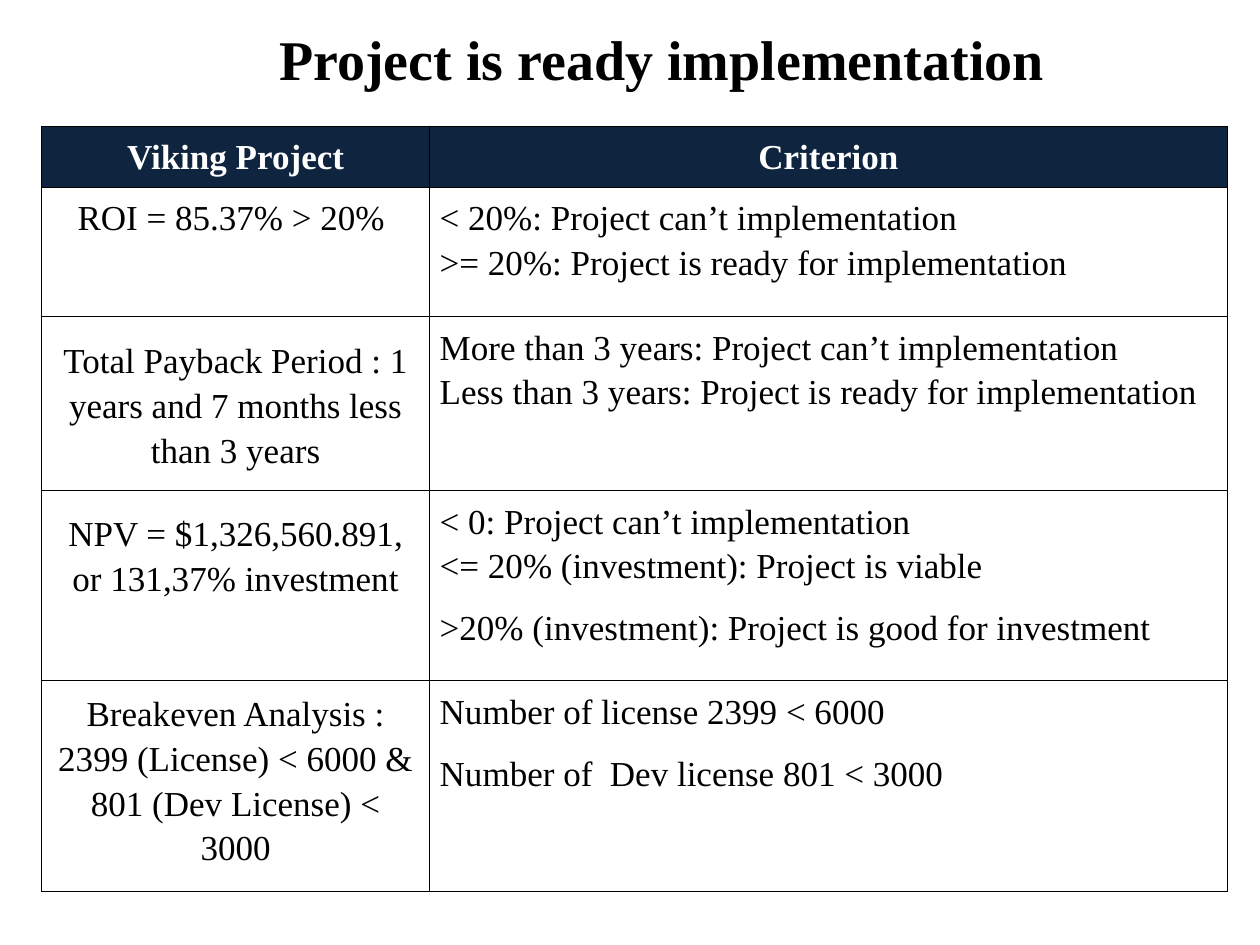
from dataclasses import dataclass

from lxml.etree import SubElement
from pptx import Presentation
from pptx.dml.color import RGBColor
from pptx.enum.text import MSO_ANCHOR as Anchor, PP_ALIGN as Align
from pptx.oxml.ns import qn
from pptx.util import Inches, Pt

FONT = "Times New Roman"
BLACK, WHITE, NAVY = "000000", "FFFFFF", "0F243E"


@dataclass
class Line:
    text: str
    after: float = 10


@dataclass
class CellSpec:
    lines: list[Line]
    align: Align = Align.LEFT
    anchor: Anchor = Anchor.TOP
    top: float = 0.05
    header: bool = False


def rgb(value: str) -> RGBColor:
    return RGBColor.from_string(value)


def add_run(p, text: str, size: float, color: str, bold: bool) -> None:
    r = p.add_run()
    r.text = text
    r.font.name = FONT
    r.font.size = Pt(size)
    r.font.bold = bold
    r.font.color.rgb = rgb(color)


def add_borders(cell, color: str, width: float) -> None:
    pr = cell._tc.get_or_add_tcPr()
    for side in ("lnL", "lnR", "lnT", "lnB"):
        ln = SubElement(pr, qn(f"a:{side}"), w=str(Pt(width)))
        fill = SubElement(ln, qn("a:solidFill"))
        SubElement(fill, qn("a:srgbClr"), val=color)


def fill_cell(cell, spec: CellSpec) -> None:
    cell.margin_left = cell.margin_right = Inches(0.08)
    cell.margin_top, cell.margin_bottom = Inches(spec.top), Inches(0.05)
    cell.vertical_anchor = spec.anchor
    add_borders(cell, BLACK, 0.45)
    if spec.header:
        cell.fill.solid()
        cell.fill.fore_color.rgb = rgb(NAVY)
    else:
        cell.fill.background()
    tf = cell.text_frame
    for i, line in enumerate(spec.lines):
        p = tf.add_paragraph() if i else tf.paragraphs[0]
        p.alignment = spec.align
        p.line_spacing = 1.15
        p.space_after = Pt(line.after)
        add_run(p, line.text, 20, WHITE if spec.header else BLACK, spec.header)


def head(text: str, after: float) -> CellSpec:
    return CellSpec([Line(text, after)], Align.CENTER, header=True)


def result(text: str, anchor: Anchor = Anchor.TOP, top: float = 0.05, after: float = 10) -> CellSpec:
    return CellSpec([Line(text, after)], Align.CENTER, anchor, top)


def criteria(*lines: Line) -> CellSpec:
    return CellSpec(list(lines))


COLUMNS = [3.08, 6.33]
HEIGHTS = [0.38, 1.03, 1.38, 1.51, 1.67]
ROWS = [
    [head("Viking Project", 0), head("Criterion", 10)],
    [
        result("ROI = 85.37% > 20% ", after=0),
        criteria(
            Line("< 20%: Project can’t implementation", 0),
            Line(">= 20%: Project is ready for implementation"),
        ),
    ],
    [
        result("Total Payback Period : 1 years and 7 months less than 3 years", Anchor.MIDDLE),
        criteria(
            Line("More than 3 years: Project can’t implementation", 0),
            Line("Less than 3 years: Project is ready for implementation"),
        ),
    ],
    [
        result("NPV = $1,326,560.891, or 131,37% investment", top=0.15),
        criteria(
            Line("< 0: Project can’t implementation", 0),
            Line("<= 20% (investment): Project is viable"),
            Line(">20% (investment): Project is good for investment"),
        ),
    ],
    [
        result("Breakeven Analysis : 2399 (License) < 6000 & 801 (Dev License) < 3000", top=0.07),
        criteria(
            Line("Number of license 2399 < 6000"),
            Line("Number of  Dev license 801 < 3000"),
        ),
    ],
]


def add_title(s, text: str) -> None:
    box = s.shapes.add_textbox(Inches(1.92), Inches(0.17), Inches(6.67), Inches(0.58))
    tf = box.text_frame
    tf.word_wrap = True
    tf.vertical_anchor = Anchor.MIDDLE
    p = tf.paragraphs[0]
    p.alignment = Align.CENTER
    add_run(p, text, 32, BLACK, True)


def add_criteria_table(s) -> None:
    frame = s.shapes.add_table(
        len(ROWS), len(COLUMNS), Inches(0.33), Inches(1),
        Inches(sum(COLUMNS)), Inches(sum(HEIGHTS)),
    )
    table = frame.table
    table.horz_banding = False
    for column, width in zip(table.columns, COLUMNS):
        column.width = Inches(width)
    for row, height, specs in zip(table.rows, HEIGHTS, ROWS):
        row.height = Inches(height)
        for cell, spec in zip(row.cells, specs):
            fill_cell(cell, spec)


def main() -> None:
    prs = Presentation()
    prs.slide_width, prs.slide_height = Inches(10), Inches(7.5)
    s = prs.slides.add_slide(prs.slide_layouts[6])
    add_title(s, "Project is ready implementation")
    add_criteria_table(s)
    prs.save("out.pptx")


if __name__ == "__main__":
    main()
